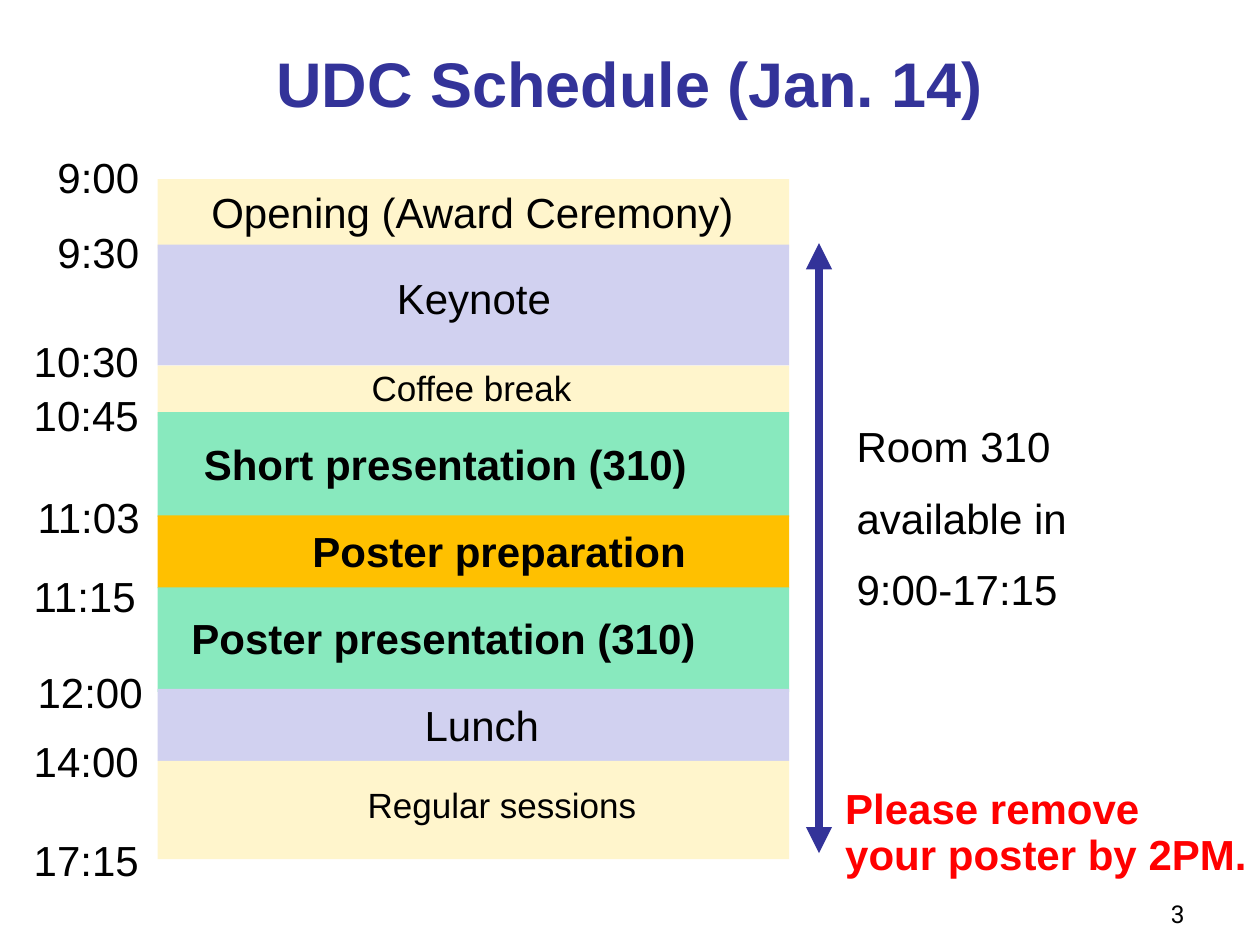
from lxml import etree
from pptx import Presentation
from pptx.dml.color import RGBColor
from pptx.enum.shapes import MSO_CONNECTOR, MSO_SHAPE
from pptx.enum.text import MSO_ANCHOR, MSO_AUTO_SIZE, PP_ALIGN
from pptx.oxml.ns import qn
from pptx.util import Cm, Pt

RECTANGLE = MSO_SHAPE.RECTANGLE
STRAIGHT = MSO_CONNECTOR.STRAIGHT
TOP, MIDDLE, BOTTOM = MSO_ANCHOR.TOP, MSO_ANCHOR.MIDDLE, MSO_ANCHOR.BOTTOM
LEFT, CENTER, RIGHT = PP_ALIGN.LEFT, PP_ALIGN.CENTER, PP_ALIGN.RIGHT
GROW = MSO_AUTO_SIZE.SHAPE_TO_FIT_TEXT

NAVY, BLACK, RED = "333399", "000000", "FF0000"
CREAM, LAVENDER, MINT, AMBER = "FFF5CC", "D1D1F0", "88E9BE", "FFC000"
BAND_LEFT, BAND_WIDTH = 3.18, 12.73
LINE_HEIGHT = {24: 1.27, 20: 1.12}

# Band top, height, colour; then label, its left, top, width, size, bold
SESSIONS = [
    (3.61, 1.4, CREAM, "Opening (Award Ceremony)", 4.01, 3.63, 11.15, 24, False),
    (4.93, 2.44, LAVENDER, "Keynote", 7.75, 5.36, 3.66, 24, False),
    (7.37, 1.02, CREAM, "Coffee break", 7.24, 7.26, 4.57, 20, False),
    (8.31, 2.11, MINT, "Short presentation (310)", 3.86, 8.71, 10.34, 24, True),
    (10.39, 1.47, AMBER, "Poster preparation", 6.05, 10.46, 8.1, 24, True),
    (11.84, 2.11, MINT, "Poster presentation (310)", 3.61, 12.22, 10.77, 24, True),
    (13.89, 1.45, LAVENDER, "Lunch", 8.31, 13.97, 2.84, 24, False),
    (15.34, 1.98, CREAM, "Regular sessions", 7.16, 15.67, 5.97, 20, False),
]

# Time, left, top, width
TIMES = [
    ("9:00", 0.91, 2.92, 2.18),
    ("9:30", 0.91, 4.45, 2.18),
    ("10:30", 0.43, 6.63, 2.67),
    ("10:45", 0.43, 7.72, 2.67),
    ("11:03", 0.51, 9.78, 2.59),
    ("11:15", 0.43, 11.38, 2.67),
    ("12:00", 0.51, 13.31, 2.67),
    ("14:00", 0.43, 14.71, 2.67),
    ("17:15", 0.43, 16.69, 2.67),
]


def color(hex_value):
    return RGBColor.from_string(hex_value)


def add_text(slide, lines, left, top, width, height, size=24, bold=False,
             ink=BLACK, font="Arial", align=LEFT, anchor=TOP, wrap=False,
             line_spacing=None):
    box = slide.shapes.add_textbox(Cm(left), Cm(top), Cm(width), Cm(height))
    frame = box.text_frame
    frame.word_wrap = wrap
    frame.vertical_anchor = anchor
    if not wrap:
        frame.auto_size = GROW
    font_format = {"name": font, "size": Pt(size), "bold": bold}
    for index, line in enumerate(lines):
        paragraph = frame.paragraphs[0] if index == 0 else frame.add_paragraph()
        paragraph.alignment = align
        if line_spacing:
            paragraph.line_spacing = Pt(line_spacing)
        if not wrap:
            space_before_half_line(paragraph)
        run = paragraph.add_run()
        run.text = line
        for name, value in font_format.items():
            setattr(run.font, name, value)
        run.font.color.rgb = color(ink)


def space_before_half_line(paragraph):
    # Relative spacing has no public property: set points, then swap the unit
    paragraph.space_before = Pt(12)
    spacing = paragraph._p.pPr.find(qn("a:spcBef"))
    spacing.remove(spacing[0])
    etree.SubElement(spacing, qn("a:spcPct"), val="50000")


def add_band(slide, top, height, fill):
    band = slide.shapes.add_shape(
        RECTANGLE, Cm(BAND_LEFT), Cm(top), Cm(BAND_WIDTH), Cm(height))
    band.shadow.inherit = False
    band.fill.solid()
    band.fill.fore_color.rgb = color(fill)
    band.line.fill.background()


def add_double_arrow(slide, x, top, bottom):
    arrow = slide.shapes.add_connector(STRAIGHT, Cm(x), Cm(top), Cm(x), Cm(bottom))
    arrow.line.color.rgb = color(NAVY)
    arrow.line.width = Pt(5)
    outline = arrow.line._get_or_add_ln()
    for end in ("a:headEnd", "a:tailEnd"):
        etree.SubElement(outline, qn(end), type="triangle")
    etree.SubElement(arrow._element.spPr, qn("a:effectLst"))


def main():
    deck = Presentation()
    deck.slide_width, deck.slide_height = Cm(25.4), Cm(19.05)
    slide = deck.slides.add_slide(deck.slide_layouts[6])

    # Title and page number
    add_text(slide, ["UDC Schedule (Jan. 14)"], 0, 0, 25.4, 3.33, size=36,
             bold=True, ink=NAVY, align=CENTER, anchor=MIDDLE, wrap=True)
    add_text(slide, ["3"], 18.85, 17.58, 5.28, 1.27, size=14, font="Roboto",
             align=RIGHT, anchor=BOTTOM, wrap=True)

    # Schedule
    for band_top, height, fill, label, left, top, width, size, bold in SESSIONS:
        add_band(slide, band_top, height, fill)
        add_text(slide, [label], left, top, width, LINE_HEIGHT[size], size, bold)
    for time, left, top, width in TIMES:
        add_text(slide, [time], left, top, width, LINE_HEIGHT[24])

    # Room availability and reminder
    add_double_arrow(slide, 16.51, 4.9, 17.2)
    add_text(slide, ["Room 310", "available in", "9:00-17:15"],
             17.02, 8.36, 4.8, 4.37)
    add_text(slide, ["Please remove", "your poster by 2PM."],
             16.79, 16.18, 8.69, 1.83, bold=True, ink=RED, line_spacing=14)

    deck.save("out.pptx")


if __name__ == "__main__":
    main()
